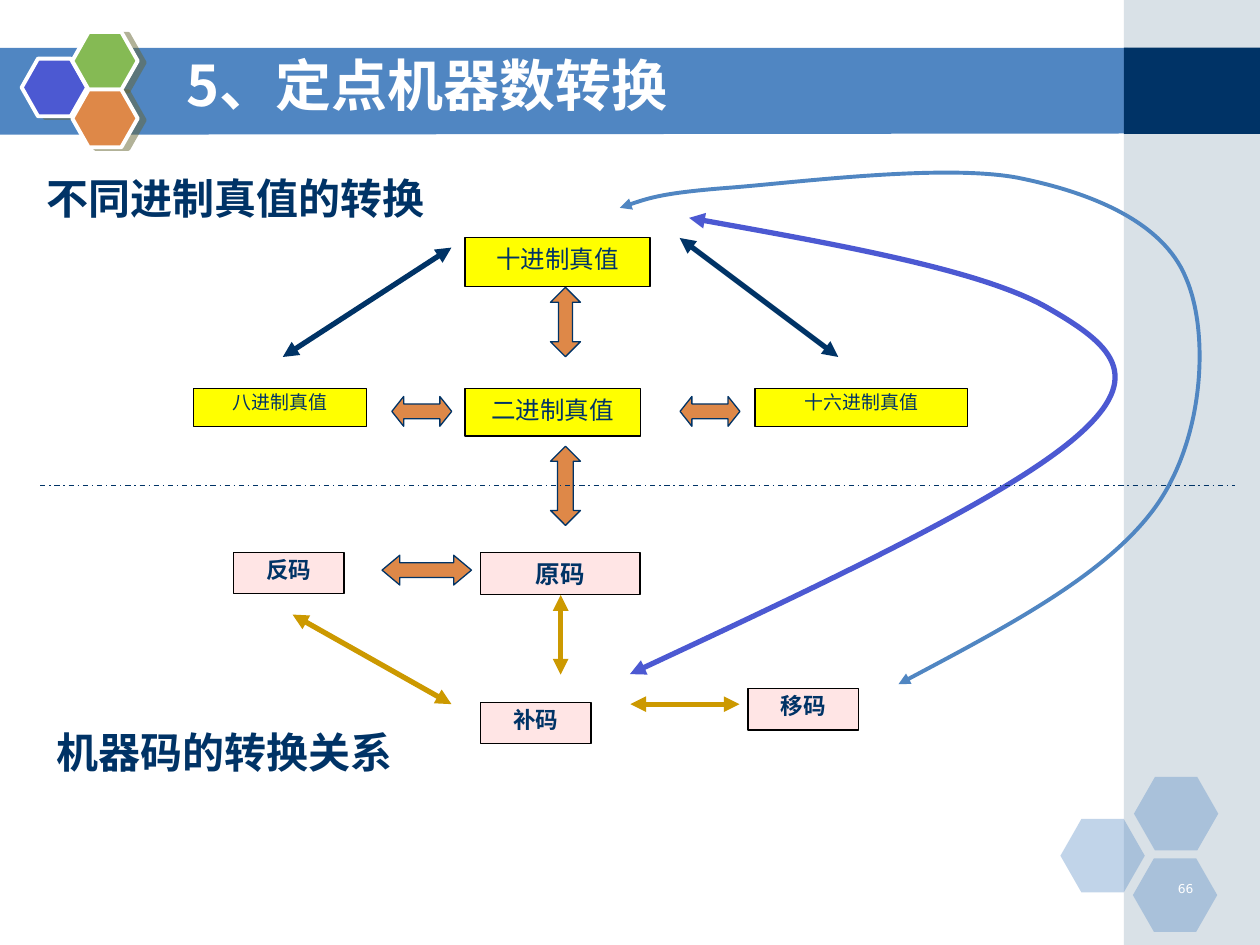
import pptx
import pptx.util
import pptx.dml.color
import pptx.enum.dml
import pptx.enum.shapes
import pptx.enum.text
import pptx.oxml
import pptx.oxml.ns
from lxml import etree

Pt = pptx.util.Pt
RGB = pptx.dml.color.RGBColor
MSO = pptx.enum.shapes.MSO_SHAPE
ALIGN = pptx.enum.text.PP_ALIGN
ANCHOR = pptx.enum.text.MSO_ANCHOR
qn = pptx.oxml.ns.qn

NAVY = RGB(0x00, 0x33, 0x66)
BLUE = RGB(0x50, 0x86, 0xC2)
GREY_BLUE = RGB(0xA0, 0xB5, 0xC4)
VIOLET = RGB(0x4C, 0x59, 0xD2)
GREEN = RGB(0x85, 0xBA, 0x54)
ORANGE = RGB(0xDE, 0x88, 0x48)
GOLD = RGB(0xCC, 0x99, 0x00)
YELLOW = RGB(0xFF, 0xFF, 0x00)
PINK = RGB(0xFF, 0xE5, 0xE5)
WHITE = RGB(0xFF, 0xFF, 0xFF)
BLACK = RGB(0x00, 0x00, 0x00)
SERIF, CJK, SANS = "Times New Roman", "Noto Sans CJK SC", "DejaVu Sans"

# Content: all positions are (left, top, width, height) in points
BAND = [(-0.7, 27.3), (644.4, 27.3), (644.4, 76.3), (-0.7, 77)]
SIDE_PANEL = (642.2, 0, 77.8, 540)
SIDE_HEADER = (642.2, 27.3, 77.8, 49.2)
CORNER_HEXAGONS = [(606, 468), (648, 444), (647.4, 490.5)]
LOGO_HEXAGONS = [(12.4, 33.5, VIOLET), (41.3, 18.3, GREEN), (41.3, 51.2, ORANGE)]

# text, box, size, bold, fill, line spacing
NODES = [
    ("十进制真值", (265.7, 135.8, 105.7, 28), 14, False, YELLOW, 1),
    ("二进制真值", (265.7, 222, 100.3, 27.2), 14, False, YELLOW, 1),
    ("十六进制真值", (431.4, 222, 121.6, 21.6), 10.8, False, YELLOW, 0.8),
    ("八进制真值", (110.6, 222, 98.9, 21.6), 10.8, False, YELLOW, 0.8),
    ("原码", (274.7, 315.7, 91, 24), 14, True, PINK, 1),
    ("补码", (274.7, 401.4, 63, 23.6), 12.9, True, PINK, 0.9),
    ("移码", (427.5, 393.5, 63, 23.6), 12.9, True, PINK, 0.9),
    ("反码", (133.5, 315.7, 63, 23.6), 12.9, True, PINK, 0.9),
]
HEADINGS = [
    ("不同进制真值的转换", (19.4, 95, 249.8, 56)),
    ("机器码的转换关系", (25.2, 411.8, 226.8, 51)),
]
# box, head length ratio; taller than wide means vertical
BLOCK_ARROWS = [
    ((314.6, 164.2, 17.1, 39.6), 0.465),
    ((314.6, 255, 17.1, 45.2), 0.528),
    ((223.9, 226.6, 34.2, 17), 0.398),
    ((388.6, 226.6, 34.2, 17), 0.398),
    ((218.3, 317.3, 51.1, 17), 0.597),
]
# start, end, colour
DOUBLE_ARROWS = [
    ((388.4, 136), (479, 204), NAVY),
    ((161.6, 204), (258, 141.5), NAVY),
    ((167.2, 351.2), (258, 402.4), GOLD),
    ((360.2, 402.4), (422.6, 402.4), GOLD),
    ((320.4, 340), (320.4, 385.5), GOLD),
]
# colour, width, start point followed by Bezier control points
CURVES = [
    (VIOLET, 3, [(393.8, 124.5), (478, 139.6), (561.6, 154.8), (598.3, 175.7),
                 (635, 196.6), (655.2, 214.6), (615.6, 249.1),
                 (575.3, 284.4), (468, 334.8), (360, 385.2)]),
    (BLUE, 2.25, [(354.2, 118.8), (366.5, 114.5), (378.7, 110.2), (416.9, 107.3),
                  (454.3, 104.4), (537.8, 93.6), (581, 101.5),
                  (625, 110.2), (664.6, 127.4), (677.5, 158.4),
                  (691.2, 189.4), (688.3, 249.8), (661, 288.7),
                  (633.6, 327.6), (573.1, 359.3), (513.4, 391)]),
]
DIVIDER = ((23, 277.5), (706, 277.5))

prs = pptx.Presentation()
prs.slide_width, prs.slide_height = Pt(720), Pt(540)
shapes = prs.slides.add_slide(prs.slide_layouts[6]).shapes


def style(sp, fill=None, line=None, width=0.75, alpha=None):
    sp.shadow.inherit = False
    if fill is None:
        sp.fill.background()
    else:
        sp.fill.solid()
        sp.fill.fore_color.rgb = fill
    if alpha:
        clr = sp._element.spPr.find(qn("a:solidFill"))[0]
        etree.SubElement(clr, qn("a:alpha"), val=str(alpha * 1000))
    if line is None:
        sp.line.fill.background()
    else:
        sp.line.color.rgb = line
        sp.line.width = Pt(width)
    return sp


def add_preset(kind, box, *adjustments, **look):
    sp = shapes.add_shape(kind, *map(Pt, box))
    for i, value in enumerate(adjustments):
        sp.adjustments[i] = value
    return style(sp, **look)


def add_outline(points, close):
    (x, y), *rest = [(Pt(a), Pt(b)) for a, b in points]
    builder = shapes.build_freeform(x, y)
    builder.add_line_segments(rest, close=close)
    return builder.convert_to_shape()


def write(sp, text, size, color, font, bold=False, align=ALIGN.LEFT,
          anchor=ANCHOR.TOP, spacing=1):
    tf = sp.text_frame
    tf.word_wrap = True
    tf.vertical_anchor = anchor
    p = tf.paragraphs[0]
    p.text = text
    p.alignment = align
    p.line_spacing = spacing
    p.font.size, p.font.bold, p.font.name = Pt(size), bold, font
    p.font.color.rgb = color
    etree.SubElement(p._p.pPr.find(qn("a:defRPr")), qn("a:ea"), typeface=CJK)


def add_text(box, *args, **kwargs):
    write(shapes.add_textbox(*map(Pt, box)), *args, **kwargs)


def add_heads(sp):
    ln = sp._element.spPr.find(qn("a:ln"))
    for end in ("a:headEnd", "a:tailEnd"):
        etree.SubElement(ln, qn(end), type="triangle")


def add_line(start, end, color, width):
    cx = shapes.add_connector(pptx.enum.shapes.MSO_CONNECTOR.STRAIGHT,
                              *map(Pt, start + end))
    cx.line.color.rgb = color
    cx.line.width = Pt(width)
    etree.SubElement(cx._element.spPr, qn("a:effectLst"))
    return cx


def bend(sp):
    """Turn every three straight segments into one cubic Bezier."""
    segments = list(sp._element.iter(qn("a:lnTo")))
    for i in range(0, len(segments), 3):
        cubic = etree.Element(qn("a:cubicBezTo"))
        segments[i].addprevious(cubic)
        for seg in segments[i:i + 3]:
            cubic.append(seg[0])
            seg.getparent().remove(seg)


# Background band, side panel and hexagons
style(add_outline(BAND, True), BLUE)
add_preset(MSO.RECTANGLE, SIDE_PANEL, fill=GREY_BLUE, alpha=40)
add_preset(MSO.RECTANGLE, SIDE_HEADER, fill=NAVY)
for x, y in CORNER_HEXAGONS:
    add_preset(MSO.HEXAGON, (x, y, 48.2, 42), 0.286, fill=BLUE, alpha=35)
for x, y, color in LOGO_HEXAGONS:
    sp = add_preset(MSO.HEXAGON, (x, y, 37.4, 33), 0.283,
                    fill=color, line=WHITE, width=2.25)
    shadow = etree.SubElement(sp._element.spPr.find(qn("a:effectLst")),
                              qn("a:outerShdw"), dist=str(Pt(4.1)),
                              dir=str(14 * 60000), algn="ctr", rotWithShape="0")
    clr = etree.SubElement(shadow, qn("a:srgbClr"), val="666633")
    etree.SubElement(clr, qn("a:alpha"), val="50000")

# Slide number and title
add_text((653, 501.8, 36, 18), "66", 7, WHITE, SANS, align=ALIGN.RIGHT, spacing=0.8)
add_text((99.4, 26, 527.8, 44.6), "5、定点机器数转换", 32, WHITE, CJK,
         bold=True, anchor=ANCHOR.MIDDLE)

# Number boxes and section headings
for text, box, size, bold, fill, spacing in NODES:
    sp = add_preset(MSO.RECTANGLE, box, fill=fill, line=BLACK)
    write(sp, text, size, NAVY, SERIF, bold, ALIGN.CENTER, spacing=spacing)
for text, box in HEADINGS:
    add_text(box, text, 24, NAVY, SERIF, bold=True, align=ALIGN.JUSTIFY)

# Conversion arrows
for box, head in BLOCK_ARROWS:
    kind = MSO.UP_DOWN_ARROW if box[3] > box[2] else MSO.LEFT_RIGHT_ARROW
    add_preset(kind, box, 0.5, head, fill=ORANGE, line=NAVY)
for start, end, color in DOUBLE_ARROWS:
    add_heads(add_line(start, end, color, 3))
for color, width, points in CURVES:
    sp = style(add_outline(points, False), line=color, width=width)
    bend(sp)
    add_heads(sp)

# Divider between true values and machine codes
add_line(*DIVIDER, NAVY, 0.75).line.dash_style = pptx.enum.dml.MSO_LINE.DASH_DOT

prs.save("out.pptx")
